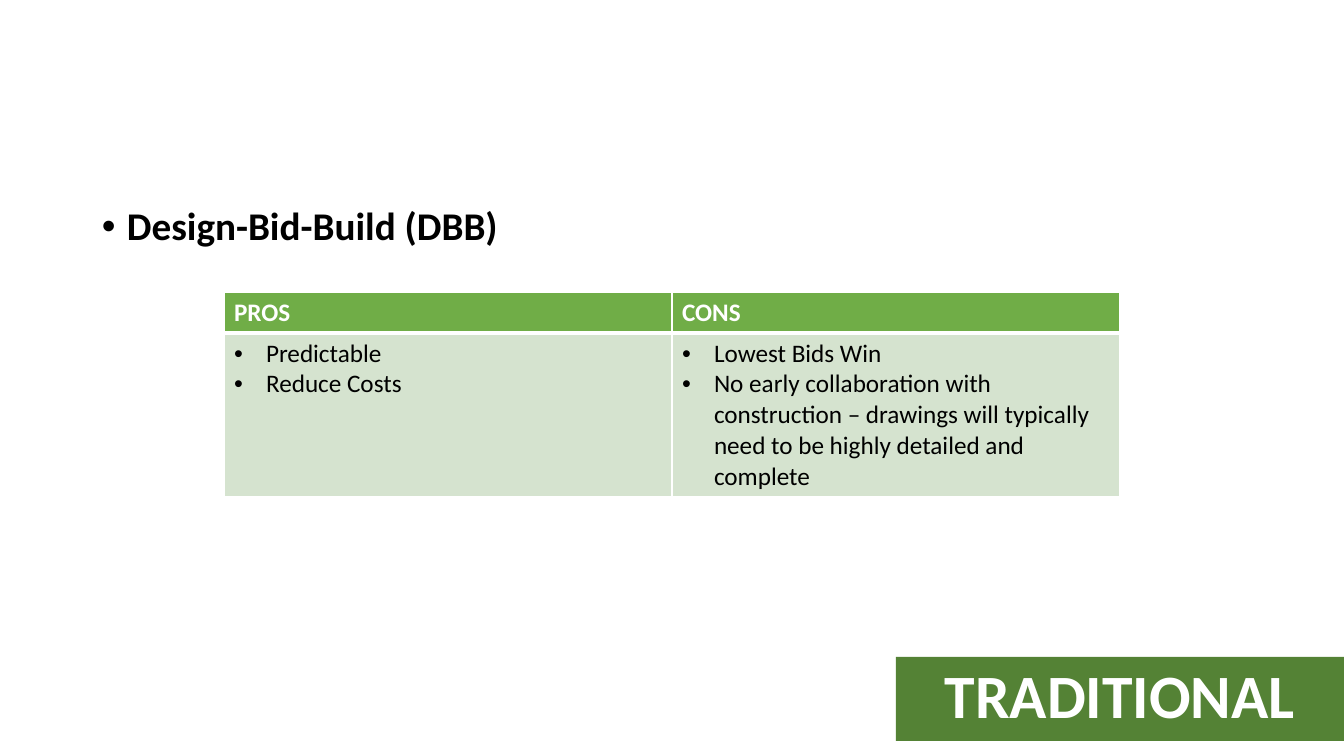
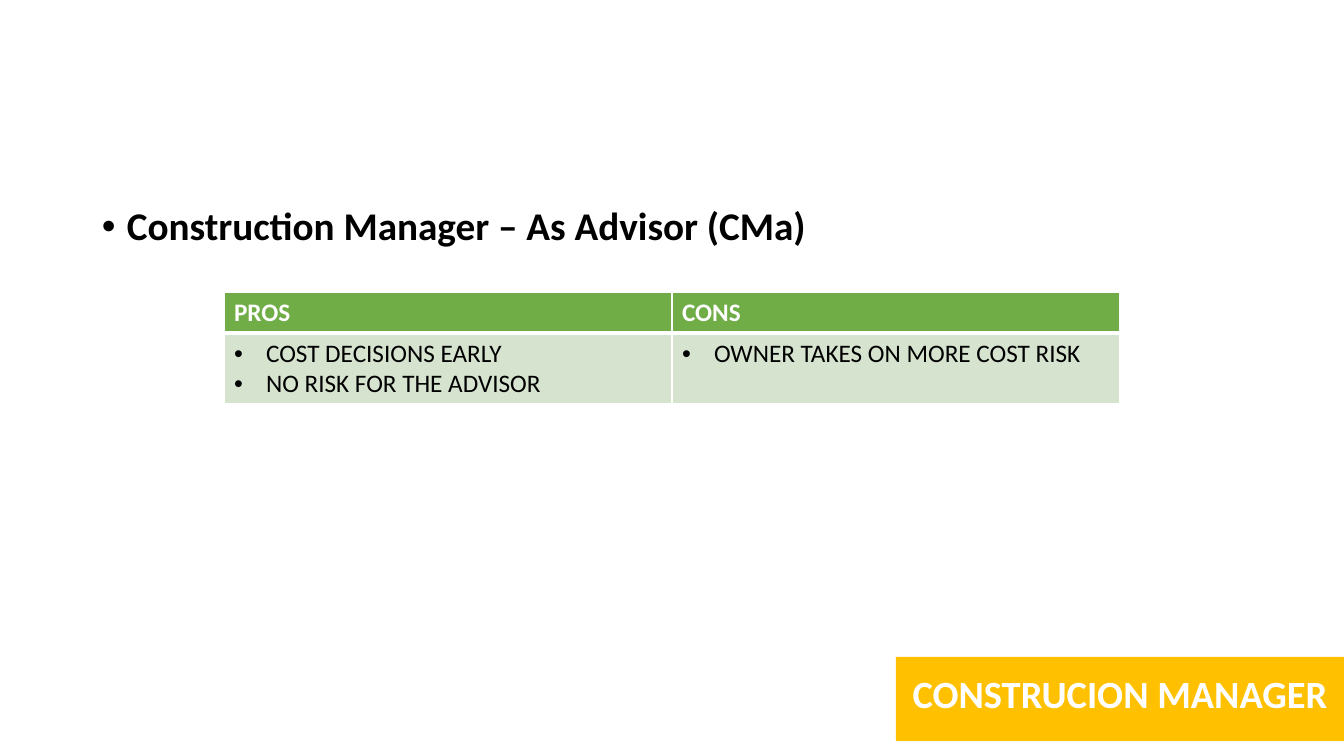
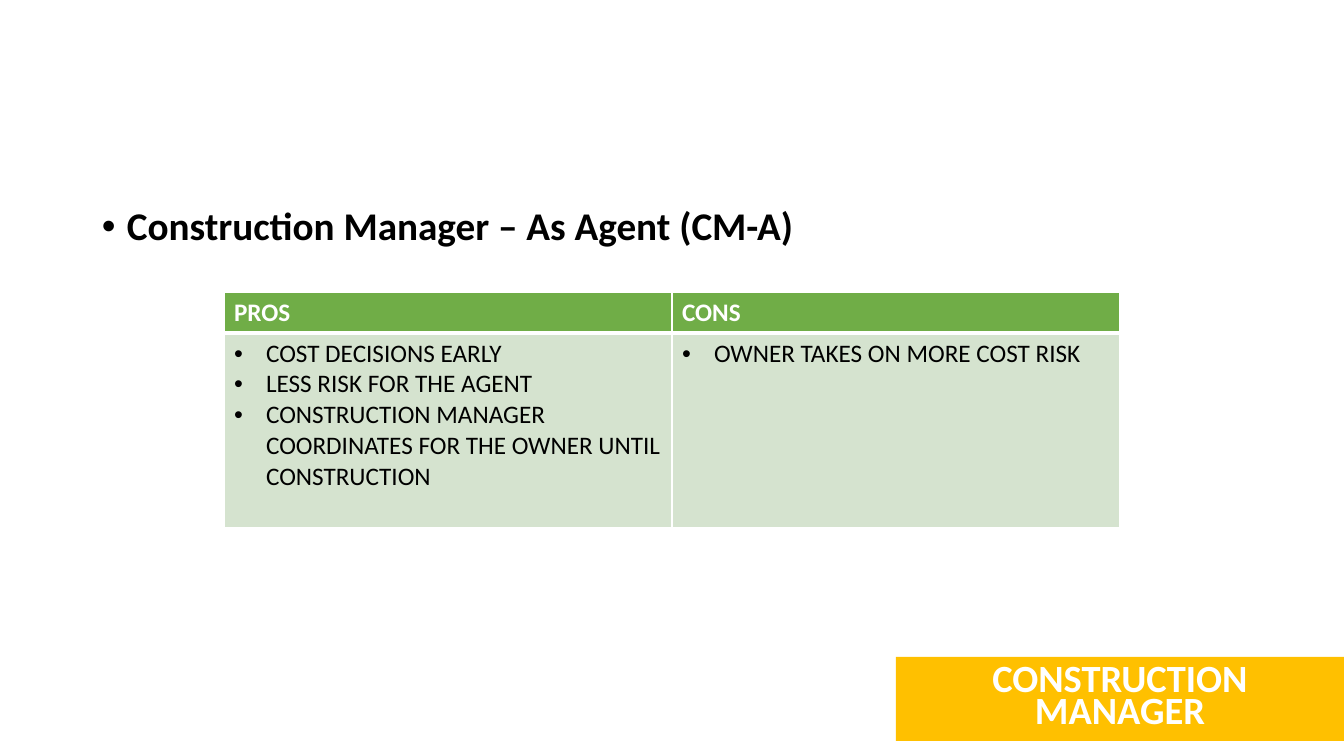
from dataclasses import dataclass

from lxml import etree
from pptx import Presentation
from pptx.dml.color import RGBColor
from pptx.enum.shapes import MSO_SHAPE
from pptx.enum.text import MSO_ANCHOR, PP_ALIGN
from pptx.oxml.ns import qn
from pptx.util import Emu, Pt

RECTANGLE = MSO_SHAPE.RECTANGLE
MIDDLE = MSO_ANCHOR.MIDDLE
CENTER = PP_ALIGN.CENTER


@dataclass(frozen=True)
class Theme:
    font: str = "Calibri"
    white: str = "FFFFFF"
    black: str = "000000"
    header_fill: str = "70AD47"
    body_fill: str = "D5E3CF"
    green: str = "548235"
    amber: str = "FFC000"
    heading_size: float = 28
    table_size: float = 18
    thin_border: float = 1
    thick_border: float = 3


THEME = Theme()

# Content
COLUMNS = ("PROS", "CONS")
TRADITIONAL = {"fill": THEME.green, "size": 44, "spacing": 0.9}
MANAGER = {"fill": THEME.amber, "size": 27.5, "spacing": 0.7}
SLIDES = [
    {
        "heading": "Design-Bid-Build (DBB)",
        "lists": (
            ["Predictable", "Reduce Costs"],
            ["Lowest Bids Win",
             "No early collaboration with construction – drawings will "
             "typically need to be highly detailed and complete"],
        ),
        "lines": 5,
        "banner": ("TRADITIONAL", TRADITIONAL),
    },
    {
        "heading": "Construction Manager – As Advisor (CMa)",
        "lists": (
            ["COST DECISIONS EARLY", "NO RISK FOR THE ADVISOR"],
            ["OWNER TAKES ON MORE COST RISK"],
        ),
        "lines": 2,
        "banner": ("CONSTRUCION MANAGER", MANAGER),
    },
    {
        "heading": "Construction Manager – As Agent (CM-A)",
        "lists": (
            ["COST DECISIONS EARLY", "LESS RISK FOR THE AGENT",
             "CONSTRUCTION MANAGER COORDINATES FOR THE OWNER UNTIL "
             "CONSTRUCTION"],
            ["OWNER TAKES ON MORE COST RISK"],
        ),
        "lines": 6,
        "banner": ("CONSTRUCTION MANAGER", MANAGER),
    },
]

# Layout in px: left, top, width, height
PAGE_WIDTH, PAGE_HEIGHT = 1344, 756
EMU_PER_PX = 12192000 / PAGE_WIDTH
HEADING_BOX = (92, 202, 1159, 480)
BANNER_BOX = (PAGE_WIDTH * 2 // 3, 657, PAGE_WIDTH // 3, 84)
TABLE_LEFT, TABLE_TOP, TABLE_WIDTH = PAGE_WIDTH // 6, 292, PAGE_WIDTH * 2 // 3
HEADER_HEIGHT, LINE_HEIGHT, CELL_PADDING = 41, 31, 9
HEADING_INDENT, LIST_INDENT = 25, 32


def px(length):
    return Emu(round(length * EMU_PER_PX))


def style(para, size, color, bold=False):
    font = para.font
    font.name, font.size, font.bold = THEME.font, Pt(size), bold
    font.color.rgb = RGBColor.from_string(color)


def fill(target, color):
    target.fill.solid()
    target.fill.fore_color.rgb = RGBColor.from_string(color)


def add_bullet(para, indent):
    properties = para._p.get_or_add_pPr()
    properties.set("marL", str(px(indent)))
    properties.set("indent", str(-px(indent)))
    etree.SubElement(properties, qn("a:buFont"), typeface="Arial")
    etree.SubElement(properties, qn("a:buChar"), char="•")


def add_borders(cell, top, bottom):
    properties = cell._tc.get_or_add_tcPr()
    widths = {"L": THEME.thin_border, "R": THEME.thin_border,
              "T": top, "B": bottom}
    for side, width in widths.items():
        line = etree.SubElement(properties, qn(f"a:ln{side}"), w=str(Pt(width)))
        solid = etree.SubElement(line, qn("a:solidFill"))
        etree.SubElement(solid, qn("a:srgbClr"), val=THEME.white)


def add_heading(page, text):
    box = page.shapes.add_textbox(*map(px, HEADING_BOX))
    box.text_frame.word_wrap = True
    para = box.text_frame.paragraphs[0]
    para.text = text
    para.line_spacing = 0.9
    para.space_before = Pt(10)
    add_bullet(para, HEADING_INDENT)
    style(para, THEME.heading_size, THEME.black, bold=True)


def add_comparison(page, lists, lines):
    heights = (HEADER_HEIGHT, lines * LINE_HEIGHT + CELL_PADDING)
    table = page.shapes.add_table(
        2, len(COLUMNS), px(TABLE_LEFT), px(TABLE_TOP),
        px(TABLE_WIDTH), px(sum(heights))).table
    table.horz_banding = False
    for row, height in zip(table.rows, heights):
        row.height = px(height)
    for index, (title, items) in enumerate(zip(COLUMNS, lists)):
        header, body = table.cell(0, index), table.cell(1, index)
        add_borders(header, THEME.thin_border, THEME.thick_border)
        add_borders(body, THEME.thick_border, THEME.thin_border)
        fill(header, THEME.header_fill)
        fill(body, THEME.body_fill)
        header.text = title
        style(header.text_frame.paragraphs[0], THEME.table_size,
              THEME.white, bold=True)
        body.text = "\n".join(items)
        for para in body.text_frame.paragraphs:
            add_bullet(para, LIST_INDENT)
            style(para, THEME.table_size, THEME.black)


def add_banner(page, text, look):
    banner = page.shapes.add_shape(RECTANGLE, *map(px, BANNER_BOX))
    banner.shadow.inherit = False
    banner.line.fill.background()
    fill(banner, look["fill"])
    frame = banner.text_frame
    frame.word_wrap = True
    frame.vertical_anchor = MIDDLE
    para = frame.paragraphs[0]
    para.text = text
    para.alignment = CENTER
    para.line_spacing = look["spacing"]
    style(para, look["size"], THEME.white, bold=True)


def main():
    deck = Presentation()
    deck.slide_width, deck.slide_height = px(PAGE_WIDTH), px(PAGE_HEIGHT)
    blank = deck.slide_layouts[6]
    for content in SLIDES:
        page = deck.slides.add_slide(blank)
        add_heading(page, content["heading"])
        add_comparison(page, content["lists"], content["lines"])
        add_banner(page, *content["banner"])
    deck.save("out.pptx")


if __name__ == "__main__":
    main()
